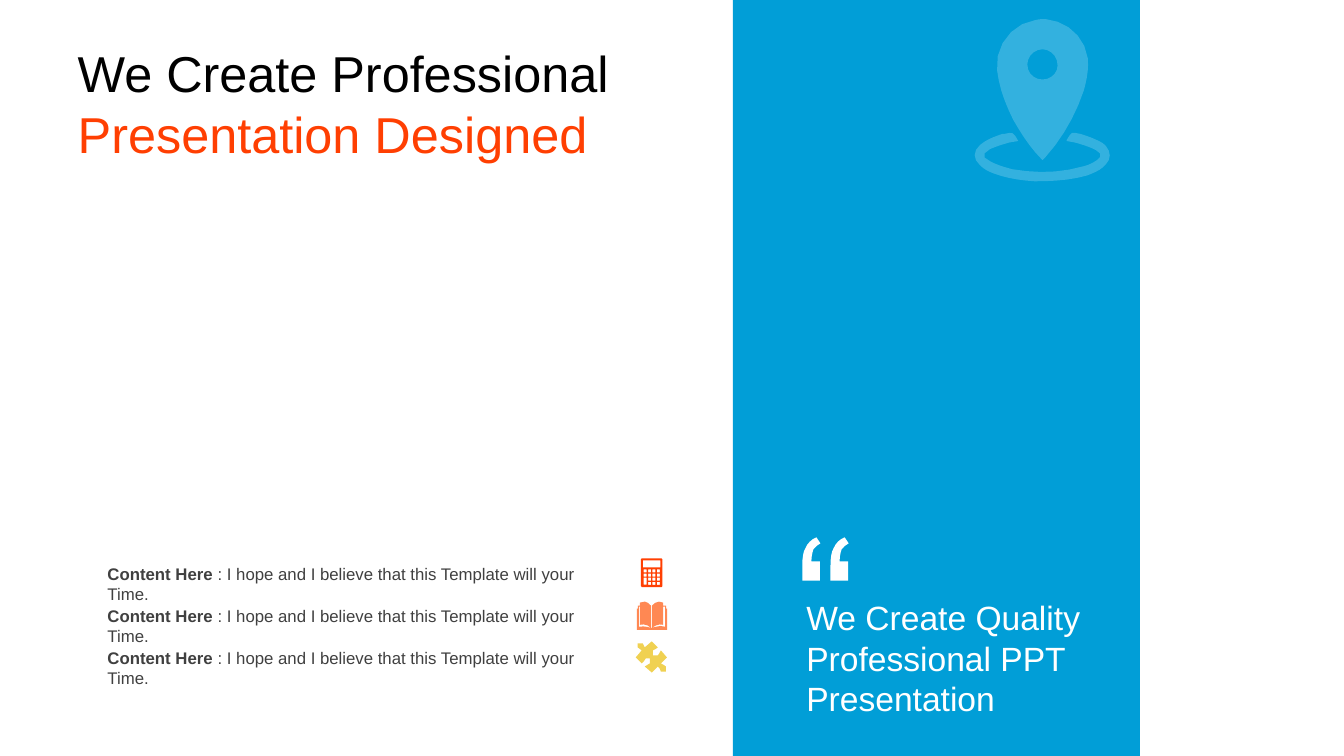
from dataclasses import dataclass
from itertools import product
from math import ceil, dist

from lxml import etree
from pptx import Presentation
from pptx import util as u
from pptx.dml.color import RGBColor
from pptx.enum import shapes, text
from pptx.oxml import ns


@dataclass(frozen=True)
class Theme:
    font: str = "Arial"
    panel: str = "019ED7"
    accent: str = "FF3F02"
    book: str = "FF8853"
    puzzle: str = "F0D152"
    ink: str = "000000"
    body: str = "404040"
    light: str = "FFFFFF"
    title_size: int = 36
    quote_size: int = 24
    item_size: int = 12


THEME = Theme()
ICON_UNIT = 0.0254

PIN = """
M 100 113 C 101 113 103 114 105 114 111 116 117 118 123 121 126 122 128 124 130 126
135 132 135 139 130 144 125 150 119 152 112 155 95 160 77 161 59 161 45 160 31 158 18 153
13 151 9 149 5 145 -2 139 -2 131 5 125 12 119 19 117 27 114 L 29 114
C 38 112 38 112 43 121 39 122 34 122 29 124 25 125 20 127 15 129 7 133 7 138 15 141
22 145 30 147 37 149 61 153 84 153 108 146 112 145 117 143 121 140 126 137 126 133 120 130
114 127 108 125 101 123 98 122 95 122 91 121 L 91 120 C 95 114 95 112 100 113
M 67 30 C 59 30 52 37 52 45 52 54 59 60 67 60 75 60 82 54 82 46 82 37 75 30 67 30
M 70 0 C 91 2 109 17 112 39 113 50 111 60 108 71 100 95 87 118 70 137 L 67 140
C 55 128 46 114 38 100 30 84 24 68 22 51 19 27 37 4 60 1 64 0 67 0 70 0
"""
QUOTE_MARK = """
M 14 0 L 18 6 C 15 7 13 10 11 12 10 15 9 19 9 24 L 17.5 24 17.5 43 0 43 0 28
C 0 20 1 14 3 11 5 6 9 2 14 0
"""
BOOK = """
M 15 26 L 14 26 C 10 25 7 24 2 25 L 2 5 3 5 3 23 C 7 22 11 23 14 26 L 14 4
C 12 2 10 0 8 0 6 0 5 1 3 1 L 3 4 1 4 1 7 0 7 0 28 30 28 30 7 29 7 29 4 26 4 26 1
C 25 1 23 0 22 0 19 0 17 2 15 4 L 15 26 C 19 23 23 22 26 23 L 26 5 28 5 28 25
C 23 23 20 25 15 26
"""
PUZZLE = """
M 2 2 C 1 3 0 5 2 6 3 8 5 7 6 9 L 0 16 6 22 C 9 20 8 19 10 17 11 16 13 16 14 17
15 18 16 20 14 22 12 24 11 23 9 25 L 16 31 22 25 C 25 27 23 27 25 30 27 31 29 31 30 30
31 29 31 27 30 25 29 23 27 24 25 22 L 31 16 25 9 C 23 11 24 13 22 14 20 15 18 15 17 14
16 13 16 11 17 9 19 7 20 9 22 6 L 16 0 9 6 C 7 4 8 4 7 2 5 0 3 1 2 2
"""


def bezier(*corners):
    steps = min(5, ceil(dist(corners[0], corners[-1]) / 5))
    for step in range(1, steps + 1):
        t = step / steps
        weights = ((1 - t) ** 3, 3 * t * (1 - t) ** 2, 3 * t * t * (1 - t), t ** 3)
        yield tuple(sum(w * c[axis] for w, c in zip(weights, corners)) for axis in (0, 1))


def contours(outline):
    found, command, numbers = [], "", []
    for token in outline.split():
        if token in "MLC":
            command = token
            continue
        numbers.append(float(token))
        if len(numbers) < (6 if command == "C" else 2):
            continue
        points = list(zip(numbers[::2], numbers[1::2]))
        numbers = []
        if command == "M":
            found.append(points)
        elif command == "L":
            found[-1] += points
        else:
            found[-1] += bezier(found[-1][-1], *points)
    return found


def shifted(outlines, dx):
    return [[(x + dx, y) for x, y in outline] for outline in outlines]


def block(x, y, width, height):
    return [(x, y), (x + width, y), (x + width, y + height), (x, y + height)]


def calculator():
    case = [(1, 0), (20.5, 0), (21.5, 1), (21.5, 27.5),
            (20.5, 28.5), (1, 28.5), (0, 27.5), (0, 1)]
    outlines = [case, block(2, 2, 17.5, 7)]
    for column, row in product(range(4), range(4)):
        if (column, row) == (0, 3):
            continue
        height = 7 if (column, row) == (0, 2) else 3
        outlines.append(block(2.8 + 4.4 * column, 11 + 4.1 * row, 3, height))
    return outlines


def paint(shape, color):
    shape.shadow.inherit = False
    shape.fill.solid()
    shape.fill.fore_color.rgb = RGBColor.from_string(color)
    shape.line.fill.background()
    return shape


def add_icon(slide, left, top, outlines, color):
    placed = [
        [(u.Cm(left + x * ICON_UNIT), u.Cm(top + y * ICON_UNIT)) for x, y in outline]
        for outline in outlines
    ]
    builder = slide.shapes.build_freeform(*placed[0][0], scale=1.0)
    for index, outline in enumerate(placed):
        if index:
            builder.move_to(*outline[0])
        builder.add_line_segments(outline[1:], close=True)
    return paint(builder.convert_to_shape(), color)


def add_text(slide, box, paragraphs, size, **frame_format):
    frame = slide.shapes.add_textbox(*map(u.Cm, box)).text_frame
    for name, value in {"word_wrap": True, **frame_format}.items():
        setattr(frame, name, value)
    for index, runs in enumerate(paragraphs):
        paragraph = frame.add_paragraph() if index else frame.paragraphs[0]
        for words, color, bold in runs:
            run = paragraph.add_run()
            run.text = words
            font_format = {"name": THEME.font, "size": u.Pt(size), "bold": bold}
            for name, value in font_format.items():
                setattr(run.font, name, value)
            run.font.color.rgb = RGBColor.from_string(color)


def add_heading(slide, box):
    runs = [
        ("We Create Professional ", THEME.ink, False),
        ("Presentation Designed", THEME.accent, False),
    ]
    add_text(slide, box, [runs], THEME.title_size, margin_left=u.Cm(0.13),
             margin_right=u.Cm(0.08), margin_top=0, margin_bottom=0)


def add_items(slide, box):
    left, top, width, pitch = box
    icons = [
        (13.69, 0, calculator(), THEME.accent),
        (13.59, 0.03, contours(BOOK), THEME.book),
        (13.56, -0.03, contours(PUZZLE), THEME.puzzle),
    ]
    for row, (icon_left, icon_drop, outlines, color) in enumerate(icons):
        row_top = top + row * pitch
        runs = [
            ("Content Here ", THEME.body, True),
            (": I hope and I believe that this Template will your Time.", THEME.body, False),
        ]
        add_text(slide, (left, row_top, width, 0.76), [runs], THEME.item_size)
        add_icon(slide, left + icon_left, row_top + icon_drop, outlines, color)


def add_quote_panel(slide, box):
    left, top, width, height = box
    paint(slide.shapes.add_shape(shapes.MSO_SHAPE.RECTANGLE, *map(u.Cm, box)), THEME.panel)
    mark = contours(QUOTE_MARK)
    add_icon(slide, left + 1.75, top + 13.54, mark + shifted(mark, 28), THEME.light)
    lines = ["We Create Quality", "Professional PPT Presentation"]
    add_text(slide, (left + 1.75, top + 15.04, 8.13, 3.07),
             [[(line, THEME.light, False)] for line in lines], THEME.quote_size,
             margin_left=u.Cm(0.1), margin_right=u.Cm(0.1), margin_top=0, margin_bottom=0,
             vertical_anchor=text.MSO_ANCHOR.MIDDLE)
    pin = add_icon(slide, left + 6.1, top + 0.48, contours(PIN), THEME.light)
    tint = pin.element.find(".//" + ns.qn("a:srgbClr"))
    etree.SubElement(tint, ns.qn("a:alpha"), val="20000")


def main():
    deck = Presentation()
    deck.slide_width, deck.slide_height = u.Cm(33.87), u.Cm(19.05)
    slide = deck.slides.add_slide(deck.slide_layouts[6])
    add_quote_panel(slide, (18.47, 0, 10.26, 19.05))
    add_items(slide, (2.46, 14.07, 13.41, 1.06))
    add_heading(slide, (1.83, 1.07, 14.78, 3.07))
    deck.save("out.pptx")


if __name__ == "__main__":
    main()
